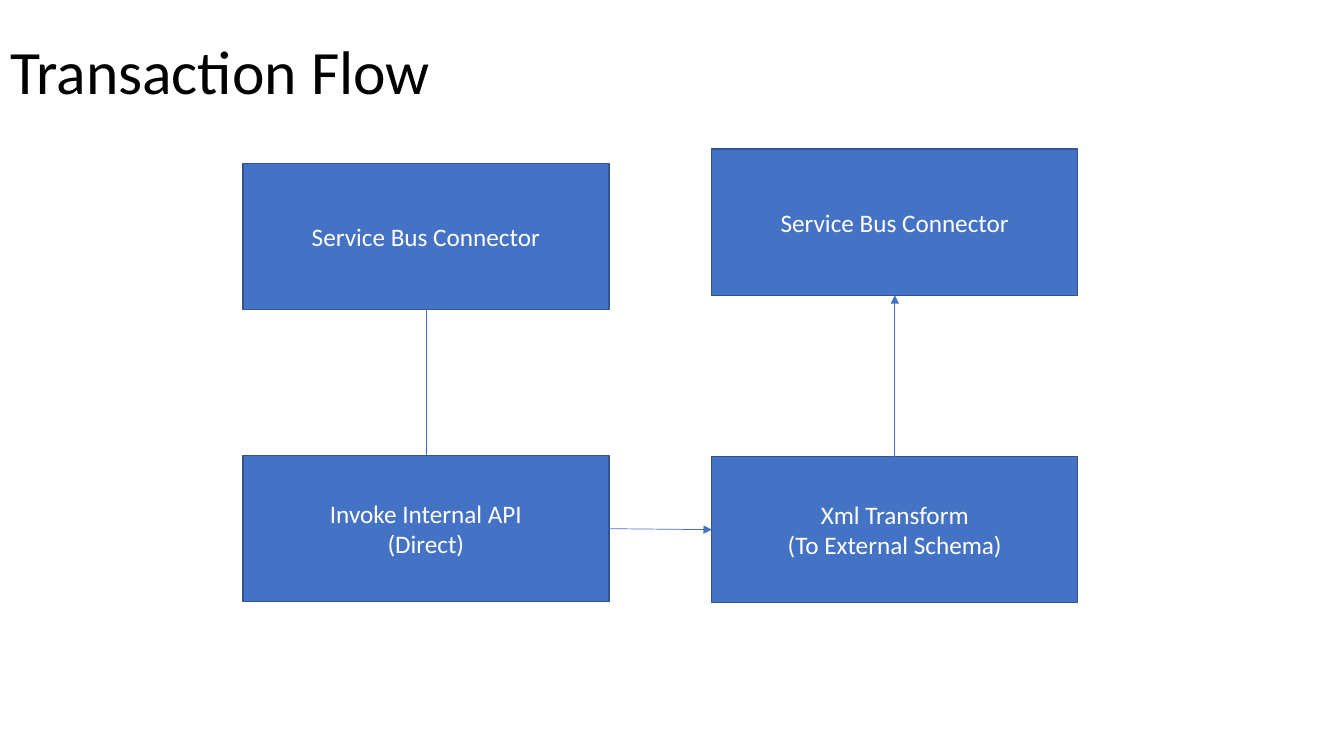
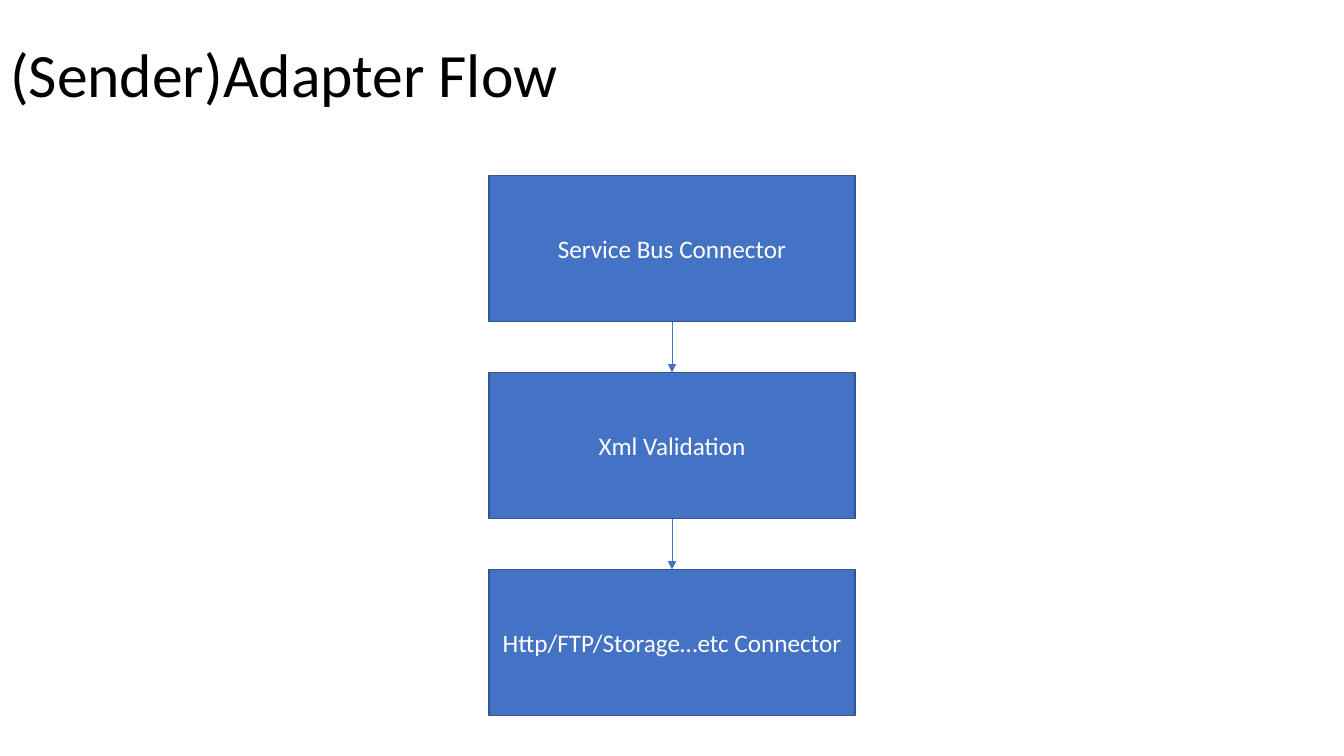
import pptx
import pptx.util
import pptx.dml.color
import pptx.enum.shapes
import pptx.enum.text
import pptx.oxml
import pptx.oxml.ns
from dataclasses import dataclass

Inches = pptx.util.Inches
Pt = pptx.util.Pt
Align = pptx.enum.text.PP_ALIGN
TOP, LEFT, BOTTOM, RIGHT = range(4)
STEP_WIDTH, STEP_HEIGHT = 3.63, 1.45


@dataclass(frozen=True)
class Theme:
    font: str = "Calibri"
    title_size: float = 44
    step_size: float = 18
    title_color: str = "000000"
    step_text: str = "FFFFFF"
    step_fill: str = "4472C4"
    step_border: str = "325491"
    arrow: str = "4472C4"
    border_width: float = 1
    arrow_width: float = 0.5


THEME = Theme()


def rgb(value):
    return pptx.dml.color.RGBColor.from_string(value)


def write_text(frame, lines, *, size, color, align=Align.LEFT, spacing=None):
    frame.word_wrap = True
    frame.vertical_anchor = pptx.enum.text.MSO_ANCHOR.MIDDLE
    for index, line in enumerate(lines):
        paragraph = frame.paragraphs[0] if index == 0 else frame.add_paragraph()
        paragraph.alignment = align
        if spacing:
            paragraph.line_spacing = spacing
        run = paragraph.add_run()
        run.text = line
        run.font.name = THEME.font
        run.font.size = Pt(size)
        run.font.color.rgb = rgb(color)


def add_titled_slide(deck, heading, top):
    slide = deck.slides.add_slide(deck.slide_layouts[5])
    title = slide.shapes.title
    title.left, title.top = Inches(0), Inches(top)
    title.width, title.height = Inches(11.5), Inches(1.45)
    title.text_frame.auto_size = pptx.enum.text.MSO_AUTO_SIZE.NONE
    write_text(title.text_frame, [heading], size=THEME.title_size,
               color=THEME.title_color, spacing=0.9)
    return slide


def add_step(slide, left, top, *lines):
    step = slide.shapes.add_shape(
        pptx.enum.shapes.MSO_SHAPE.RECTANGLE, Inches(left), Inches(top),
        Inches(STEP_WIDTH), Inches(STEP_HEIGHT))
    step.shadow.inherit = False
    step.fill.solid()
    step.fill.fore_color.rgb = rgb(THEME.step_fill)
    step.line.color.rgb = rgb(THEME.step_border)
    step.line.width = Pt(THEME.border_width)
    write_text(step.text_frame, lines, size=THEME.step_size,
               color=THEME.step_text, align=Align.CENTER)
    return step


def add_arrow(slide, start, start_site, end=None, end_site=TOP, drop=0):
    arrow = slide.shapes.add_connector(
        pptx.enum.shapes.MSO_CONNECTOR.STRAIGHT, 0, 0, 0, 0)
    arrow.begin_connect(start, start_site)
    if end is None:
        arrow.end_x = arrow.begin_x
        arrow.end_y = arrow.begin_y + Inches(drop)
    else:
        arrow.end_connect(end, end_site)
    arrow.line.color.rgb = rgb(THEME.arrow)
    arrow.line.width = Pt(THEME.arrow_width)
    head = pptx.oxml.parse_xml(
        '<a:tailEnd %s type="triangle"/>' % pptx.oxml.ns.nsdecls("a"))
    arrow.line._get_or_add_ln().append(head)
    properties = arrow._element.spPr
    properties.append(pptx.oxml.parse_xml(
        "<a:effectLst %s/>" % pptx.oxml.ns.nsdecls("a")))


def add_transaction_flow(slide, left, top):
    right = left + 4.65
    source_bus = add_step(slide, left, top + 0.14, "Service Bus Connector")
    add_arrow(slide, source_bus, BOTTOM, drop=2.65)
    invoke = add_step(slide, left, top + 3.04, "Invoke Internal API", "(Direct)")
    transform = add_step(slide, right, top + 3.05,
                         "Xml Transform", "(To External Schema)")
    add_arrow(slide, invoke, RIGHT, transform, LEFT)
    target_bus = add_step(slide, right, top, "Service Bus Connector")
    add_arrow(slide, transform, TOP, target_bus, BOTTOM)


def add_adapter_flow(slide, left, top, pitch, labels):
    steps = [add_step(slide, left, top + index * pitch, label)
             for index, label in enumerate(labels)]
    for upper, lower in zip(steps, steps[1:]):
        add_arrow(slide, upper, BOTTOM, lower, TOP)


deck = pptx.Presentation()
deck.slide_width, deck.slide_height = Inches(13.33), Inches(7.5)

transaction = add_titled_slide(deck, "Transaction Flow", 0.01)
add_transaction_flow(transaction, 2.41, 1.48)

adapter = add_titled_slide(deck, "(Sender)Adapter Flow", 0.04)
add_adapter_flow(adapter, 4.85, 1.74, 1.955, [
    "Service Bus Connector", "Xml Validation", "Http/FTP/Storage…etc Connector"])

deck.save("out.pptx")
